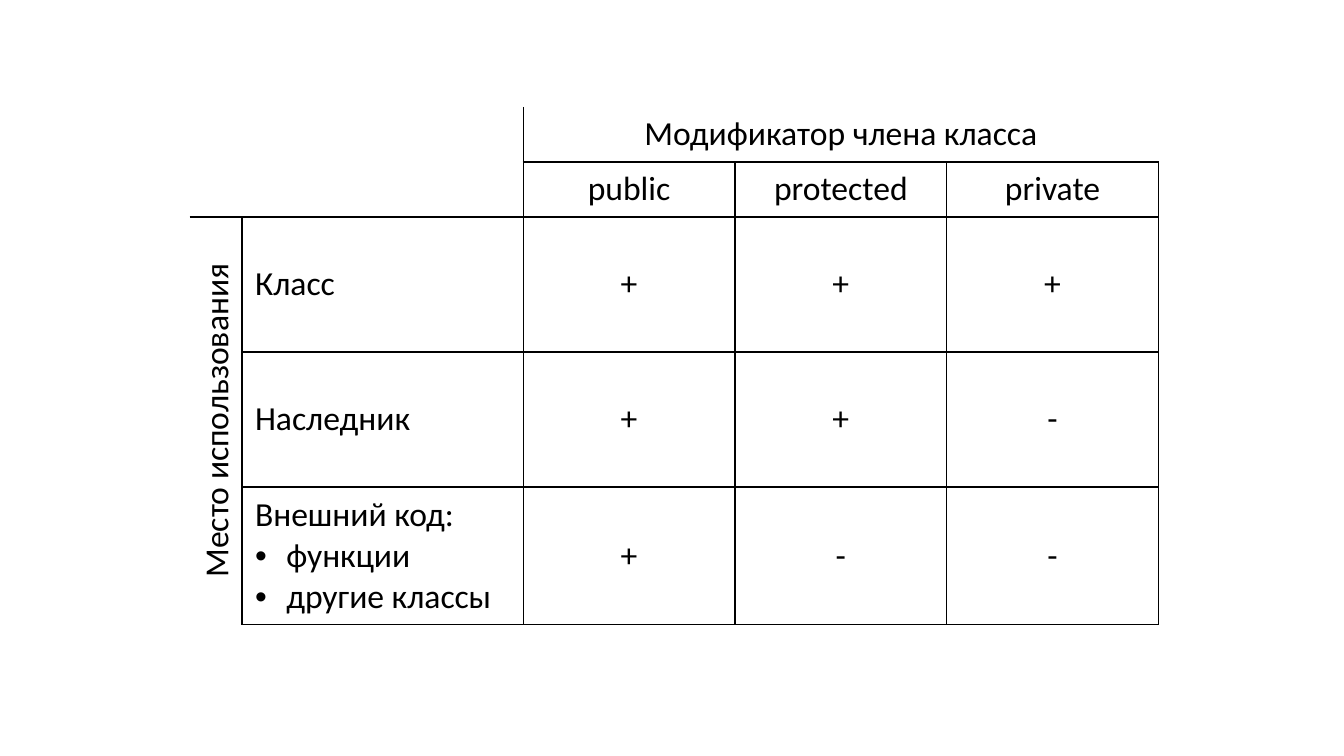
from pptx import Presentation, util as u
from pptx.dml.color import RGBColor
from pptx.enum import text
from pptx.oxml.ns import qn
from lxml import etree

BLACK = RGBColor(0, 0, 0)
SLIDE_SIZE = 13.33, 7.5
TABLE_LEFT, TABLE_TOP = 1.88, 1.06
COLUMNS = [0.52, 2.79] + [2.1] * 3
ROWS = [0.53] * 2 + [1.34] * 3
BULLET_INDENT = 0.31
BULLET = "•"
MARGINS = {"margin_left": 0.13, "margin_right": 0.13,
           "margin_top": 0.07, "margin_bottom": 0.07}
FONT = {"name": "Calibri", "size": u.Pt(24), "bold": False}
EDGES = {"lnL": (0, -1), "lnR": (0, 1), "lnT": (-1, 0), "lnB": (1, 0)}

CONTENT = [
    ["", "", "Модификатор члена класса", "", ""],
    ["", "", "public", "protected", "private"],
    ["Место использования", "Класс", "+", "+", "+"],
    ["", "Наследник", "+", "+", "-"],
    ["", "Внешний код:\n• функции\n• другие классы", "+", "-", "-"],
]
MERGES = [((0, 0), (1, 1)), ((0, 2), (0, 4)), ((2, 0), (4, 0))]


def block_of(row, column):
    for first, last in MERGES:
        if first[0] <= row <= last[0] and first[1] <= column <= last[1]:
            return first
    return row, column


def set_borders(cell, row, column):
    properties = cell._tc.get_or_add_tcPr()
    for index, (edge, (down, right)) in enumerate(EDGES.items()):
        near = row + down, column + right
        visible = min(near) >= 0 and block_of(*near) != block_of(row, column)
        line = etree.Element(qn("a:" + edge), w=str(u.Pt(1)))
        fill = etree.SubElement(line, qn("a:solidFill" if visible else "a:noFill"))
        if visible:
            etree.SubElement(fill, qn("a:srgbClr"), val=str(BLACK))
        properties.insert(index, line)


def set_bullet(para):
    properties = para._p.get_or_add_pPr()
    properties.set("marL", str(u.Inches(BULLET_INDENT)))
    properties.set("indent", str(-u.Inches(BULLET_INDENT)))
    etree.SubElement(properties, qn("a:buFont"), typeface="Arial")
    etree.SubElement(properties, qn("a:buChar"), char=BULLET)


def fill_cell(cell, row, column, words):
    cell.fill.background()
    cell.vertical_anchor = text.MSO_ANCHOR.MIDDLE
    for name, value in MARGINS.items():
        setattr(cell, name, u.Inches(value))
    set_borders(cell, row, column)
    if not words:
        return
    lines = words.split("\n")
    cell.text = "\n".join(line.removeprefix(BULLET + " ") for line in lines)
    for para, line in zip(cell.text_frame.paragraphs, lines):
        para.alignment = text.PP_ALIGN.LEFT if column == 1 else text.PP_ALIGN.CENTER
        if line.startswith(BULLET):
            set_bullet(para)
        for span in para.runs:
            for name, value in FONT.items():
                setattr(span.font, name, value)
            span.font.color.rgb = BLACK


def main():
    deck = Presentation()
    deck.slide_width, deck.slide_height = map(u.Inches, SLIDE_SIZE)
    page = deck.slides.add_slide(deck.slide_layouts[6])
    place = TABLE_LEFT, TABLE_TOP, sum(COLUMNS), sum(ROWS)
    table = page.shapes.add_table(len(ROWS), len(COLUMNS), *map(u.Inches, place)).table
    table.first_row = table.horz_banding = False
    for column, width in zip(table.columns, COLUMNS):
        column.width = u.Inches(width)
    for row, height in zip(table.rows, ROWS):
        row.height = u.Inches(height)
    for row, line in enumerate(CONTENT):
        for column, words in enumerate(line):
            fill_cell(table.cell(row, column), row, column, words)
    for first, last in MERGES:
        table.cell(*first).merge(table.cell(*last))
    table.cell(2, 0)._tc.get_or_add_tcPr().set("vert", "vert270")
    deck.save("out.pptx")


if __name__ == "__main__":
    main()
